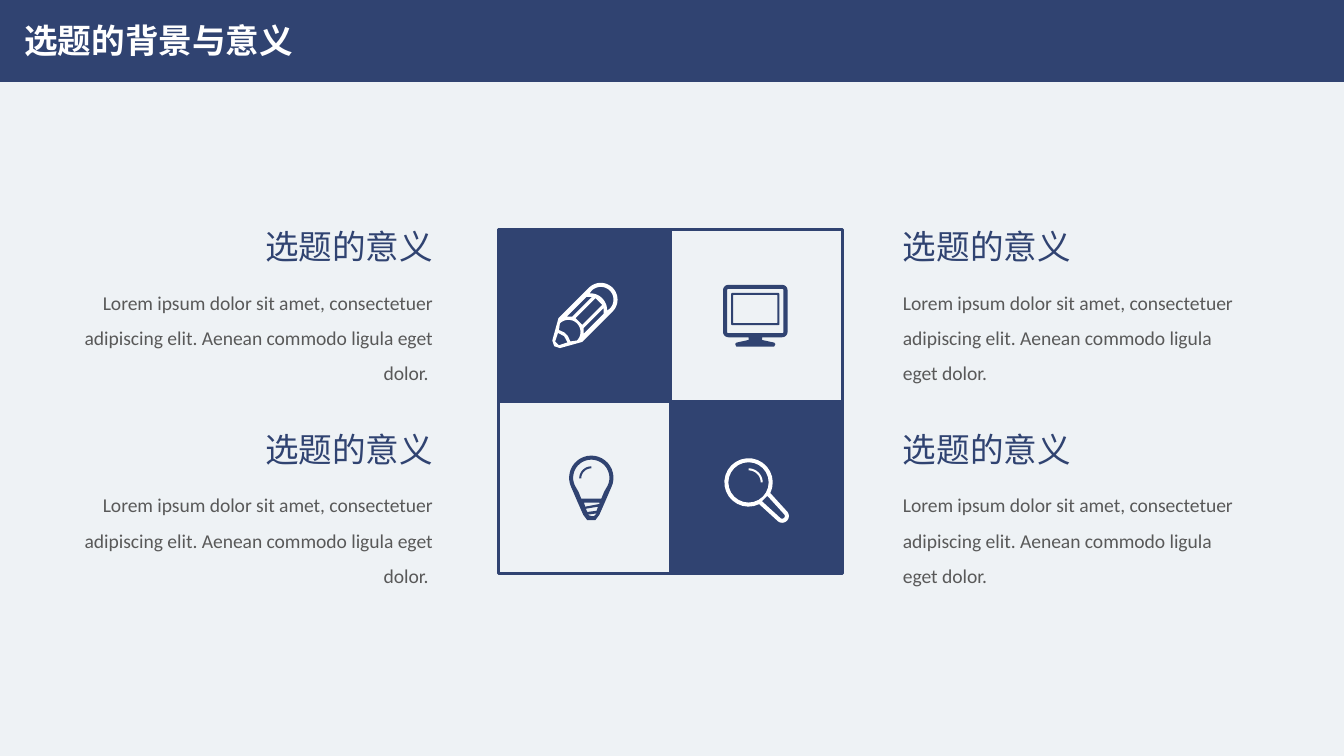
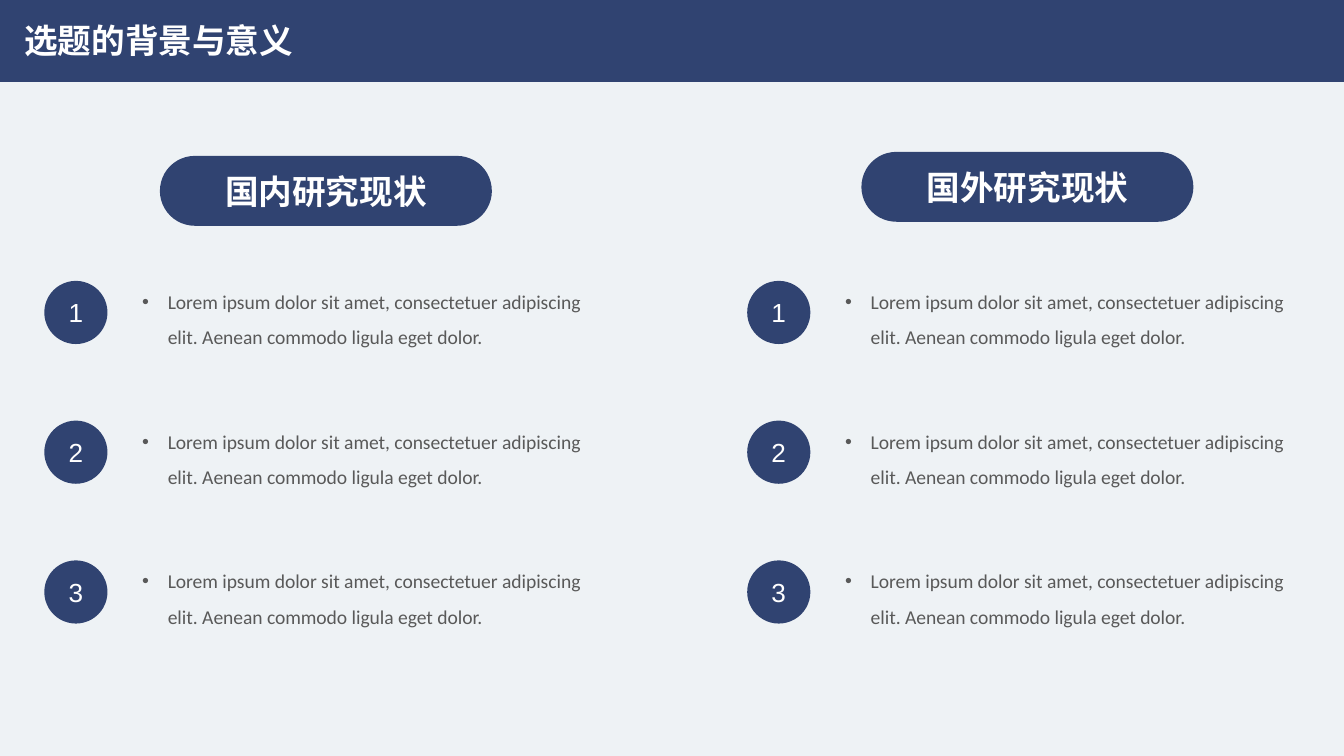
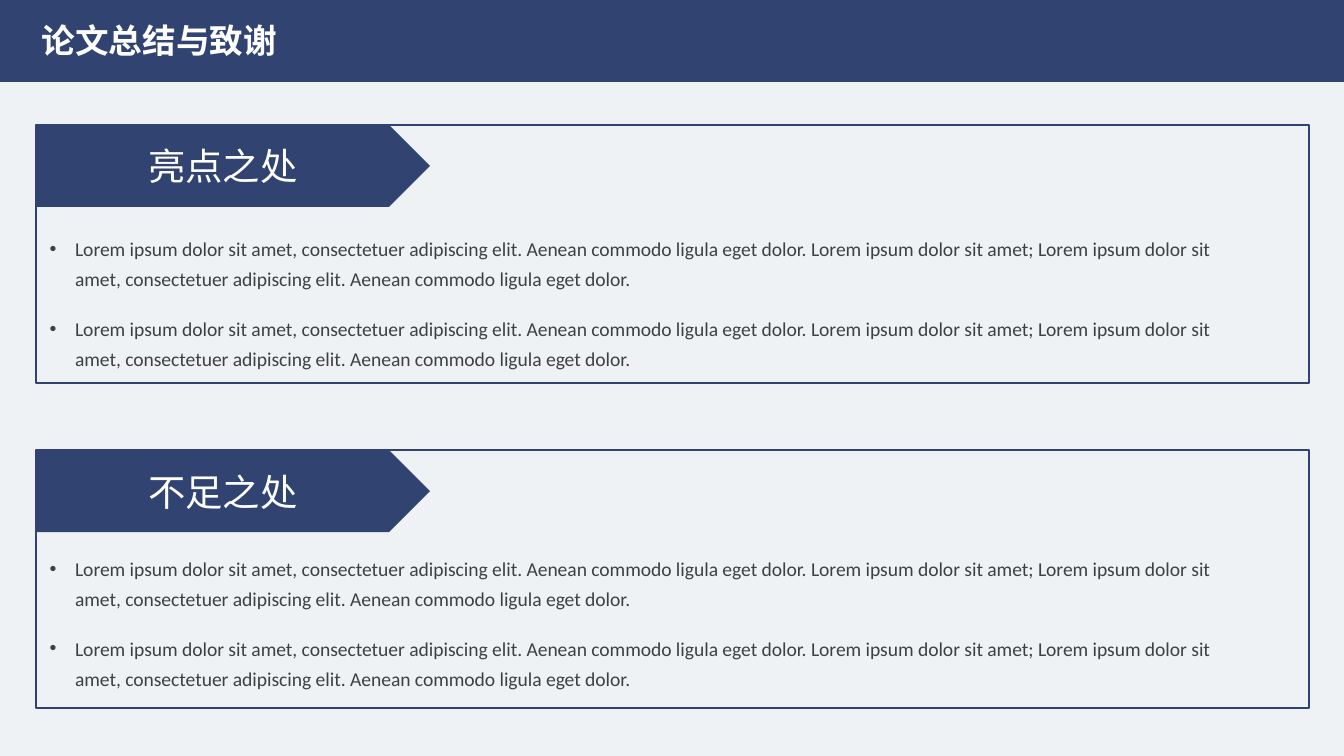
import math

from lxml import etree
from pptx import Presentation
from pptx import util as u
from pptx.dml.color import RGBColor
from pptx.enum import shapes, text
from pptx.oxml.ns import qn

NAVY = RGBColor(0x30, 0x43, 0x71)
PAPER = RGBColor(0xEE, 0xF2, 0xF5)
WHITE = RGBColor(0xFF, 0xFF, 0xFF)
GREY = RGBColor(0x59, 0x59, 0x59)
DARK = RGBColor(0x40, 0x40, 0x40)

HEAD_FONT, BODY_FONT, NUMBER_FONT = "Noto Sans CJK SC", "Calibri", "Arial"
COLUMNS, ROWS = 100, 56.25
CELL = u.Inches(0.1)
ICON_UNIT = CELL / 10

LEFT, CENTER, RIGHT = text.PP_ALIGN.LEFT, text.PP_ALIGN.CENTER, text.PP_ALIGN.RIGHT
SHAPE = shapes.MSO_SHAPE

LOREM = ("Lorem ipsum dolor sit amet, consectetuer adipiscing elit. "
         "Aenean commodo ligula eget dolor.")
LONG_LOREM = ("Lorem ipsum dolor sit amet, consectetuer adipiscing elit. "
              "Aenean commodo ligula eget dolor. Lorem ipsum dolor sit amet; " + LOREM)


def grid(*lengths):
    return [u.Emu(round(length * CELL)) for length in lengths]


def arc(x, y, radius, start, end, steps=24):
    """Points of an arc; angles in degrees, clockwise from the right."""
    angles = [math.radians(start + (end - start) * i / steps) for i in range(steps + 1)]
    return [(x + radius * math.cos(a), y + radius * math.sin(a)) for a in angles]


def arc_band(x, y, outer, inner, start, end):
    return arc(x, y, outer, start, end) + arc(x, y, inner, end, start)


def rounded_box(half_width, top, bottom, radius):
    x = half_width - radius
    corners = [(-x, top + radius, 180), (x, top + radius, 270),
               (x, bottom - radius, 0), (-x, bottom - radius, 90)]
    return [point for cx, cy, angle in corners
            for point in arc(cx, cy, radius, angle, angle + 90, 6)]


def turn_up(contour):
    """Turn a contour drawn along the x axis so that it points to the upper right."""
    root = math.sqrt(2)
    return [((x + y) / root, (y - x) / root) for x, y in contour]


def mirror(contour):
    return [(x, -y) for x, y in contour]


# Icons: each part is a list of contours, in hundredths of an inch from its centre.
PENCIL_SIDE = [(-10, -9), (11, -9), (14, -6), (-7, -6)]
PENCIL = [[turn_up(contour) for contour in (
    [(-30, -4), (-15, -12.5)] + arc(17, 0, 12.5, -90, 90)
    + [(-15, 12.5), (-30, 4), (-32, 0)],
    arc(17, 0, 9.5, -90, 90) + arc(6, 0, 12.5, 47, -47),
    PENCIL_SIDE,
    [(-6, -3.5), (15, -3.5), (15, 3.5), (-6, 3.5)],
    mirror(PENCIL_SIDE),
    arc(-17, 0, 9, -90, 90) + [(-21, 6), (-19.5, 2), (-19.5, -2), (-21, -6)],
    [(-29, -2), (-23, -5), (-21.5, 0), (-23, 5), (-29, 2)],
)]]
MONITOR = [
    [rounded_box(18, -17, 7, 1), rounded_box(16.5, -15.5, 5.5, 0.5)],
    [rounded_box(24, -23, 16, 4), rounded_box(21, -20, 13, 1),
     [(-5, 16), (-5, 18), (-14, 20), (-15, 21), (-14, 23),
      (14, 23), (15, 21), (14, 20), (5, 18), (5, 16)]],
]
BULB = [
    [arc(0, -7.5, 16.5, 155, 385)
     + [(10, 11), (6, 20), (3, 24), (-3, 24), (-6, 20), (-10, 11)],
     arc(0, -7.5, 13.5, 155, 385) + [(9.5, 3), (7.5, 8), (-7.5, 8), (-9.5, 3)],
     [(-5.5, 11), (6, 11), (6, 12), (-4.5, 14)],
     [(-4, 15.5), (5, 14), (4, 17), (-3, 18)],
     [(-3, 20), (4, 19), (2, 21), (0, 21)]],
    [arc_band(0, -7, 9, 7.5, 180, 270)],
]
MAGNIFIER = [
    [arc(-6, -5, 18, 64, 386) + arc(19, 20, 5, -45, 135),
     arc(-6, -5, 15, 0, 360),
     [(4, 9), (8, 5)] + arc(19, 20, 2, -45, 135)],
    [arc_band(-6, -5, 10.5, 9, -90, 0)],
]


class Builder:
    def __init__(self):
        self.deck = Presentation()
        self.deck.slide_width, self.deck.slide_height = grid(COLUMNS, ROWS)
        fill = self.deck.slide_master.background.fill
        fill.solid()
        fill.fore_color.rgb = PAPER
        self.page = None

    def new_slide(self, title, left):
        self.page = self.deck.slides.add_slide(self.deck.slide_layouts[6])
        self.shape(SHAPE.RECTANGLE, 0, 0, COLUMNS, 6.1, fill=NAVY)
        box = self.textbox(title, left, 1, 2.5 * len(title) + 2.2, 4,
                           size=18, color=WHITE, font=HEAD_FONT, bold=True, align=CENTER)
        box.text_frame.word_wrap = False

    def paint(self, shape, fill=None, line=None):
        """Set the fill colour and the line width; None leaves either out."""
        shape.shadow.inherit = False
        if fill is None:
            shape.fill.background()
        else:
            shape.fill.solid()
            shape.fill.fore_color.rgb = fill
        if line is None:
            shape.line.fill.background()
        else:
            shape.line.color.rgb = NAVY
            shape.line.width = u.Pt(line)

    def shape(self, kind, left, top, width, height, fill=None, line=None):
        shape = self.page.shapes.add_shape(kind, *grid(left, top, width, height))
        self.paint(shape, fill, line)
        return shape

    def label(self, words, kind, left, top, width, height, size, font=HEAD_FONT, bold=False):
        """A navy shape with white centred words."""
        shape = self.shape(kind, left, top, width, height, fill=NAVY)
        shape.text_frame.vertical_anchor = text.MSO_ANCHOR.MIDDLE
        self.set_words(shape, words, size, WHITE, font, bold, CENTER)
        return shape

    def set_words(self, shape, words, size, color, font, bold=False, align=LEFT,
                  spacing=None, bullet=False):
        shape.text_frame.text = words
        para = shape.text_frame.paragraphs[0]
        if bullet:
            props = para._p.get_or_add_pPr()
            props.set("marL", str(u.Inches(0.19)))
            props.set("indent", str(-u.Inches(0.19)))
            etree.SubElement(props, qn("a:buFont")).set("typeface", NUMBER_FONT)
            etree.SubElement(props, qn("a:buChar")).set("char", "•")
        para.alignment = align
        para.line_spacing = spacing
        for span in para.runs:
            span.font.size, span.font.bold = u.Pt(size), bold
            span.font.color.rgb = color
            span.font.name = font
            etree.SubElement(span._r.get_or_add_rPr(), qn("a:ea")).set("typeface", font)

    def textbox(self, words, left, top, width, height, **style):
        box = self.page.shapes.add_textbox(*grid(left, top, width, height))
        box.text_frame.word_wrap = True
        box.text_frame.auto_size = text.MSO_AUTO_SIZE.SHAPE_TO_FIT_TEXT
        self.set_words(box, words, **style)
        return box

    def body(self, words, left, top, width, height, color=GREY, spacing=1.5, **style):
        self.textbox(words, left, top, width, height, size=10.5, color=color,
                     font=BODY_FONT, spacing=spacing, **style)

    def icon(self, parts, x, y, color):
        fineness = 100
        for contours in parts:
            outline = None
            for contour in contours:
                points = [(px * fineness, py * fineness) for px, py in contour]
                if outline is None:
                    outline = self.page.shapes.build_freeform(
                        *points[0], scale=ICON_UNIT / fineness)
                else:
                    outline.move_to(*points[0])
                outline.add_line_segments(points[1:], close=True)
            self.paint(outline.convert_to_shape(*grid(x, y)), fill=color)


def significance(builder):
    builder.new_slide("选题的背景与意义", 0.7)
    for top in (16.3, 31.4):
        for edge, width, align, words in ((33.2, 31.4, RIGHT, LOREM + " "),
                                          (66.2, 27.3, LEFT, LOREM)):
            head_left, body_left = ((edge - 14.8, edge - width) if align == RIGHT
                                    else (edge, edge))
            builder.textbox("选题的意义", head_left, top, 14.8, 4, size=18,
                            color=NAVY, font=HEAD_FONT, align=align)
            builder.body(words, body_left, top + 3.95, width, 8.7, align=align)

    side = 12.8
    for column, row in ((0, 0), (1, 1), (0, 1), (1, 0)):
        builder.shape(SHAPE.RECTANGLE, 37.1 + column * side, 17.1 + row * side, side, side,
                      fill=NAVY if column == row else None, line=1.5)
    builder.icon(MONITOR, 56.2, 23.5, NAVY)
    builder.icon(PENCIL, 43.5, 23.5, WHITE)
    builder.icon(BULB, 44, 36.3, NAVY)
    builder.icon(MAGNIFIER, 56.3, 36.4, WHITE)


def research_status(builder):
    builder.new_slide("选题的背景与意义", 0.7)
    for heading, pill_left, pill_top, left in (("国内研究现状", 11.9, 11.6, 3.3),
                                               ("国外研究现状", 64.1, 11.3, 55.6)):
        pill = builder.label(heading, SHAPE.ROUNDED_RECTANGLE, pill_left, pill_top,
                             24.7, 5.2, size=18, bold=True)
        pill.adjustments[0] = 0.5
        for i in range(3):
            top = 20.2 + 10.4 * i
            builder.label(str(i + 1), SHAPE.OVAL, left, top + 0.7, 4.7, 4.7,
                          size=14, font=NUMBER_FONT)
            builder.body(LOREM, left + 6.3, top, 34.8, 6, bullet=True)


def summary(builder):
    builder.new_slide("论文总结与致谢", 2)
    left = 2.7
    for heading, top, text_top in (("亮点之处", 9.3, 16.6), ("不足之处", 33.5, 40.4)):
        builder.shape(SHAPE.RECTANGLE, left, top, 94.7, 19.2, line=1)
        builder.label(heading, SHAPE.PENTAGON, left, top, 29.3, 6.1, size=20)
        for i in range(2):
            builder.body(LONG_LOREM, left, text_top + 5.95 * i, 92.1, 5.4,
                         color=DARK, spacing=1.3, bullet=True)


def main():
    builder = Builder()
    significance(builder)
    research_status(builder)
    summary(builder)
    builder.deck.save("out.pptx")


if __name__ == "__main__":
    main()
